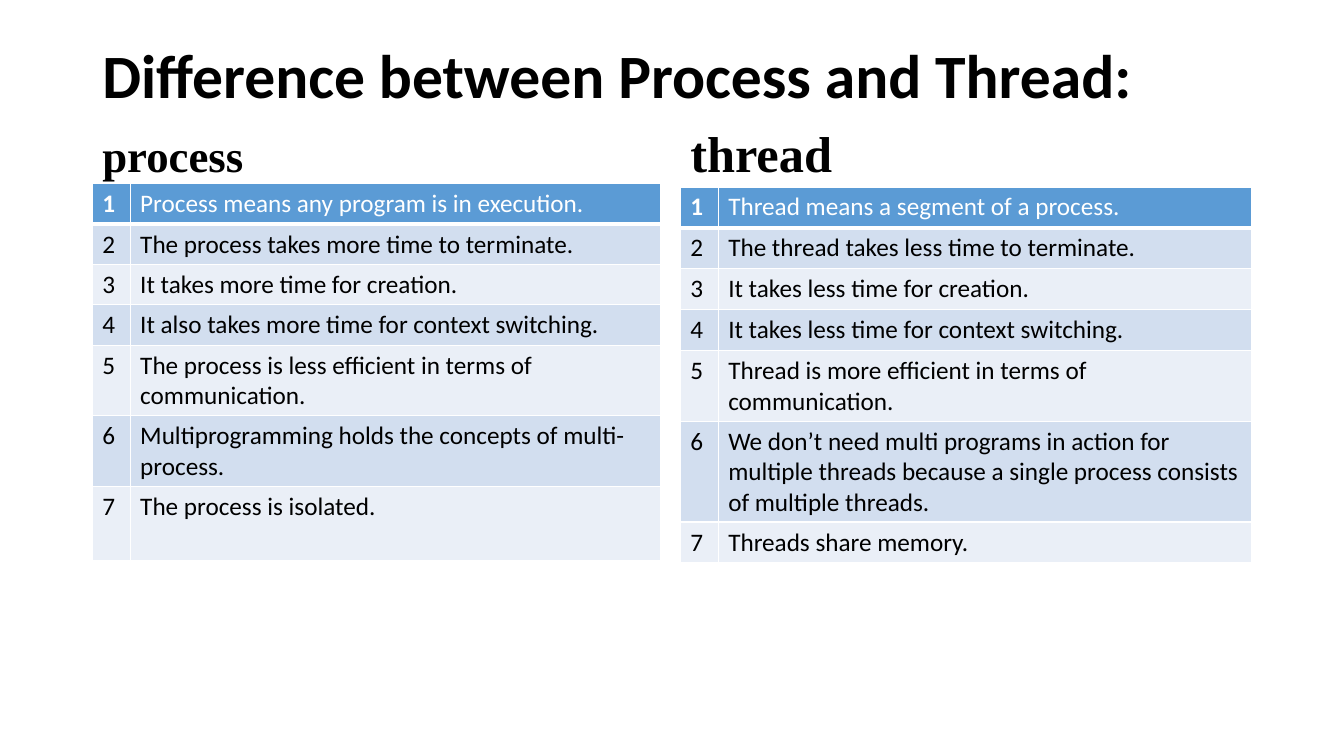
"""Build a slide comparing processes and threads in two numbered tables."""
from dataclasses import dataclass
from typing import Any

import pptx
import pptx.dml.color
import pptx.enum.text
import pptx.oxml
import pptx.oxml.ns
import pptx.util

EMU_PER_PX = 9525
BLACK, WHITE = "000000", "FFFFFF"
HEADER_FILL = "5B9BD5"
BAND_FILLS = ("EAEFF7", "D2DEEF")
NUMBER_WIDTH = 36
ANCHOR = pptx.enum.text.MSO_ANCHOR


@dataclass(frozen=True)
class Label:
    text: str
    left: int
    top: int
    width: int
    height: int
    size: int
    font: str
    anchor: Any
    line_spacing: float


@dataclass(frozen=True)
class PointTable:
    left: int
    top: int
    width: int
    row_heights: tuple[int, ...]
    points: tuple[str, ...]


LABELS = (
    Label("Difference between Process and Thread:", 88, 38, 1104, 139,
          44, "Calibri", ANCHOR.TOP, 0.9),
    Label("process", 88, 119, 541, 59, 32, "Times New Roman", ANCHOR.BOTTOM, 0.9),
    Label("thread", 648, 119, 544, 59, 36, "Times New Roman", ANCHOR.BOTTOM, 0.8),
)

TABLES = (
    PointTable(88, 175, 541, (35,) * 6 + (71,), (
        "Process means any program is in execution.",
        "The process takes more time to terminate.",
        "It takes more time for creation.",
        "It also takes more time for context switching.",
        "The process is less efficient in terms of communication.",
        "Multiprogramming holds the concepts of multi-process.",
        "The process is isolated.",
    )),
    PointTable(648, 178, 544, (39,) * 7, (
        "Thread means a segment of a process.",
        "The thread takes less time to terminate.",
        "It takes less time for creation.",
        "It takes less time for context switching.",
        "Thread is more efficient in terms of communication.",
        "We don’t need multi programs in action for multiple threads "
        "because a single process consists of multiple threads.",
        "Threads share memory.",
    )),
)


def px(length: int) -> pptx.util.Emu:
    """Convert pixels to EMU."""
    return pptx.util.Emu(length * EMU_PER_PX)


def color(value: str) -> pptx.dml.color.RGBColor:
    """Convert a hex string to a colour."""
    return pptx.dml.color.RGBColor.from_string(value)


def apply(target: Any, values: dict[str, Any]) -> None:
    """Set every attribute named in a dict."""
    for name, value in values.items():
        setattr(target, name, value)


def write(paragraph: Any, text: str, size: int, font: str, hex_color: str, bold: bool) -> None:
    """Put one formatted run into a paragraph."""
    run = paragraph.add_run()
    run.text = text
    apply(run.font, {"size": pptx.util.Pt(size), "name": font, "bold": bold})
    run.font.color.rgb = color(hex_color)


def add_label(slide: Any, label: Label) -> None:
    """Add a bold text box."""
    shape = slide.shapes.add_textbox(
        px(label.left), px(label.top), px(label.width), px(label.height))
    apply(shape.text_frame, {"word_wrap": True, "vertical_anchor": label.anchor})
    paragraph = shape.text_frame.paragraphs[0]
    paragraph.line_spacing = label.line_spacing
    write(paragraph, label.text, label.size, label.font, BLACK, True)


def add_borders(cell: Any, widths: dict[str, int]) -> None:
    """Give a cell white borders with widths in points."""
    properties = cell._tc.get_or_add_tcPr()
    for index, (side, width) in enumerate(widths.items()):
        properties.insert(index, pptx.oxml.parse_xml(
            f'<a:ln{side} {pptx.oxml.ns.nsdecls("a")} w="{pptx.util.Pt(width)}">'
            f'<a:solidFill><a:srgbClr val="{WHITE}"/></a:solidFill></a:ln{side}>'))


def add_point_table(slide: Any, content: PointTable) -> None:
    """Add a banded table of numbered points."""
    table = slide.shapes.add_table(
        len(content.points), 2, px(content.left), px(content.top),
        px(content.width), px(sum(content.row_heights))).table
    for column, width in zip(table.columns, (NUMBER_WIDTH, content.width - NUMBER_WIDTH)):
        column.width = px(width)
    for index, (point, height) in enumerate(zip(content.points, content.row_heights)):
        table.rows[index].height = px(height)
        header = index == 0
        fill = HEADER_FILL if header else BAND_FILLS[index % 2]
        borders = {"L": 1, "R": 1, "T": 3 if index == 1 else 1, "B": 3 if header else 1}
        for column_index, text in enumerate((str(index + 1), point)):
            cell = table.cell(index, column_index)
            cell.fill.solid()
            cell.fill.fore_color.rgb = color(fill)
            add_borders(cell, borders)
            write(cell.text_frame.paragraphs[0], text, 18, "Calibri",
                  WHITE if header else BLACK, header and column_index == 0)


def main() -> None:
    """Build and save the presentation."""
    presentation = pptx.Presentation()
    apply(presentation, {"slide_width": px(1280), "slide_height": px(720)})
    slide = presentation.slides.add_slide(presentation.slide_layouts[6])
    for label in LABELS:
        add_label(slide, label)
    for content in TABLES:
        add_point_table(slide, content)
    presentation.save("out.pptx")


if __name__ == "__main__":
    main()
